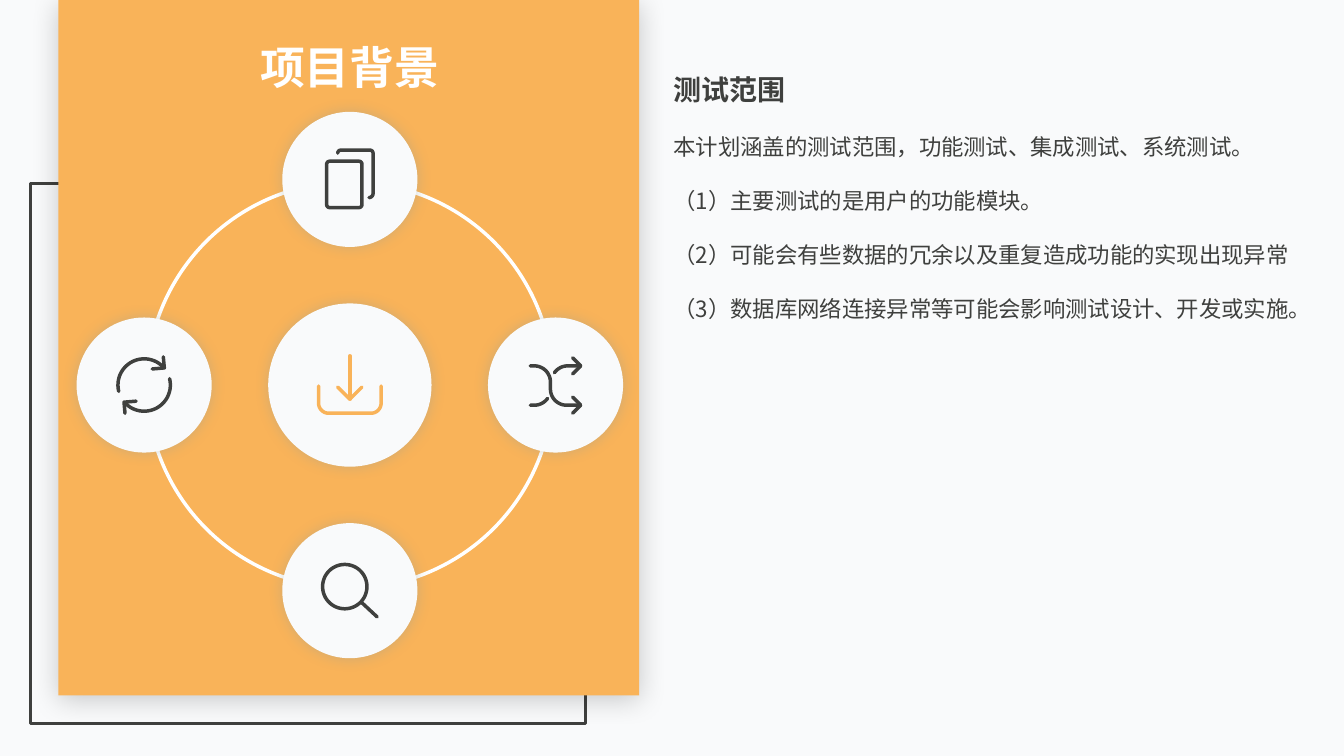
from math import cos, radians, sin

from lxml.etree import SubElement
from pptx import Presentation
from pptx.dml.color import RGBColor
from pptx.enum.shapes import MSO_CONNECTOR, MSO_SHAPE
from pptx.enum.text import MSO_ANCHOR, MSO_AUTO_SIZE, PP_ALIGN
from pptx.oxml.ns import qn
from pptx.util import Inches, Pt

TITLE = "项目背景"
HEADING = "测试范围"
BODY = [
    "本计划涵盖的测试范围，功能测试、集成测试、系统测试。",
    "（1）主要测试的是用户的功能模块。",
    "（2）可能会有些数据的冗余以及重复造成功能的实现出现异常",
    "（3）数据库网络连接异常等可能会影响测试设计、开发或实施。",
]
FONT = "Noto Sans CJK SC"
COLORS = {
    "paper": "F9FAFB", "orange": "F9B359", "ink": "3F403E",
    "white": "FFFFFF", "black": "000000", "glow": "969F98",
}
CENTER_X, CENTER_Y = 3.47, 3.82
ORBIT = 2.04
RING_SIZE, HUB_SIZE, SATELLITE_SIZE = 4.03, 1.62, 1.34
GLOW = {"color": "glow", "alpha": 40, "blur": 10, "distance": 0, "angle": 0}
PANEL_SHADOW = {"color": "black", "alpha": 20, "blur": 20, "distance": 3, "angle": 90}


def arc(x, y, radius, start, end):
    """Points on an arc in inches; angles in degrees, clockwise from the right."""
    steps = max(6, abs(end - start) // 6)
    angles = [radians(start + (end - start) * i / steps) for i in range(steps + 1)]
    return [(x + radius * cos(a), y + radius * sin(a)) for a in angles]


def rounded_page(left, top, right, bottom, radius):
    corners = [(right, top, -1, 1, 270), (right, bottom, -1, -1, 0),
               (left, bottom, 1, -1, 90), (left, top, 1, 1, 180)]
    points = []
    for x, y, inward_x, inward_y, start in corners:
        points += arc(x + inward_x * radius, y + inward_y * radius, radius, start, start + 90)
    return points + points[:1]


def arrow_tip(y):
    return [(0.17, y - 0.08), (0.25, y), (0.17, y + 0.08)]


# Each icon is a list of strokes, in inches from the centre of its disc.
DOWNLOAD = [
    [(-0.31, 0.01), *arc(-0.21, 0.18, 0.1, 180, 90), *arc(0.21, 0.18, 0.1, 90, 0), (0.31, 0.01)],
    [(0, -0.29), (0, 0.14)],
    [(-0.12, 0.02), (0, 0.14), (0.12, 0.02)],
]
DOCUMENTS = [
    rounded_page(-0.23, -0.18, 0.12, 0.28, 0.03),
    [*arc(-0.09, -0.26, 0.03, 180, 270), *arc(0.2, -0.26, 0.03, 270, 360),
     *arc(0.19, 0.14, 0.04, 0, 90)],
]
SHUFFLE = [
    [(-0.25, -0.19), *arc(-0.21, -0.03, 0.16, 270, 360), *arc(0.11, 0.04, 0.16, 180, 90), (0.25, 0.2)],
    [*arc(0.12, -0.03, 0.16, 215, 270), (0.25, -0.19)],
    [(-0.25, 0.2), *arc(-0.21, 0.04, 0.16, 90, 35)],
    arrow_tip(-0.19),
    arrow_tip(0.2),
]
MAGNIFIER = [arc(-0.05, -0.04, 0.22, 0, 360), [(0.12, 0.12), (0.27, 0.26)]]
REFRESH = [
    arc(0, 0, 0.26, 166, 316),
    [(0.19, -0.28), (0.2, -0.17), (0.08, -0.16)],
    arc(0, 0, 0.26, -14, 136),
    [(-0.19, 0.28), (-0.2, 0.17), (-0.08, 0.16)],
]
SATELLITES = [DOCUMENTS, SHUFFLE, MAGNIFIER, REFRESH]  # clockwise from the top


def rgb(name):
    return RGBColor.from_string(COLORS[name])


def add_shadow(shape, color, alpha, blur, distance, angle):
    effects = shape._element.spPr.find(qn("a:effectLst"))
    shadow = SubElement(effects, qn("a:outerShdw"), blurRad=str(Pt(blur)), dist=str(Pt(distance)),
                        dir=str(angle * 60000), algn="ctr", rotWithShape="0")
    tint = SubElement(shadow, qn("a:srgbClr"), val=COLORS[color])
    SubElement(tint, qn("a:alpha"), val=str(alpha * 1000))


def add_figure(slide, kind, left, top, width, height, fill=None, line=None, weight=1, shadow=None):
    shape = slide.shapes.add_shape(kind, Inches(left), Inches(top), Inches(width), Inches(height))
    shape.shadow.inherit = False
    if fill:
        shape.fill.solid()
        shape.fill.fore_color.rgb = rgb(fill)
    else:
        shape.fill.background()
    if line:
        shape.line.color.rgb = rgb(line)
        shape.line.width = Pt(weight)
    else:
        shape.line.fill.background()
    if shadow:
        add_shadow(shape, **shadow)


def add_disc(slide, x, y, size, **style):
    add_figure(slide, MSO_SHAPE.OVAL, x - size / 2, y - size / 2, size, size, **style)


def add_stroke(slide, points, color):
    places = [(Inches(x), Inches(y)) for x, y in points]
    if len(places) == 2:
        stroke = slide.shapes.add_connector(MSO_CONNECTOR.STRAIGHT, *places[0], *places[1])
    else:
        builder = slide.shapes.build_freeform(*places[0])
        builder.add_line_segments(places[1:], close=places[0] == places[-1])
        stroke = builder.convert_to_shape()
        stroke.fill.background()
        stroke.shadow.inherit = False
    stroke.line.color.rgb = rgb(color)
    stroke.line.width = Pt(2.5)
    outline = stroke._element.spPr.find(qn("a:ln"))
    outline.set("cap", "rnd")
    SubElement(outline, qn("a:round"))
    if len(places) == 2:
        SubElement(stroke._element.spPr, qn("a:effectLst"))


def add_icon_disc(slide, x, y, size, icon, color):
    add_disc(slide, x, y, size, fill="paper", shadow=GLOW)
    for stroke in icon:
        add_stroke(slide, [(x + dx, y + dy) for dx, dy in stroke], color)


def place(shape, left, top, width, height, wrap=True):
    shape.left, shape.top = Inches(left), Inches(top)
    shape.width, shape.height = Inches(width), Inches(height)
    frame = shape.text_frame
    frame.margin_left = frame.margin_right = frame.margin_top = frame.margin_bottom = Inches(0.05)
    frame.word_wrap = wrap
    frame.auto_size = MSO_AUTO_SIZE.NONE
    frame.vertical_anchor = MSO_ANCHOR.TOP
    return frame


def write(paragraph, text, size, color, bold=False, align=PP_ALIGN.LEFT, spacing=1):
    properties = paragraph._p.get_or_add_pPr()
    properties.set("marL", "0")
    properties.set("indent", "0")
    SubElement(properties, qn("a:buNone"))
    paragraph.alignment = align
    paragraph.line_spacing = float(spacing)
    paragraph.space_before = Pt(0)
    run = paragraph.add_run()
    run.text = text
    run.font.name = FONT
    run.font.size = Pt(size)
    run.font.bold = bold
    run.font.color.rgb = rgb(color)
    SubElement(run._r.rPr, qn("a:ea"), typeface=FONT)


def main():
    presentation = Presentation()
    presentation.slide_width, presentation.slide_height = Inches(13.33), Inches(7.5)
    slide = presentation.slides.add_slide(presentation.slide_layouts[1])
    slide.background.fill.solid()
    slide.background.fill.fore_color.rgb = rgb("paper")

    add_figure(slide, MSO_SHAPE.RECTANGLE, 0.3, 1.82, 5.51, 5.36, line="ink", weight=2)
    add_figure(slide, MSO_SHAPE.RECTANGLE, 0.58, 0, 5.76, 6.9, fill="orange", shadow=PANEL_SHADOW)
    add_icon_disc(slide, CENTER_X, CENTER_Y, HUB_SIZE, DOWNLOAD, "orange")
    add_disc(slide, CENTER_X, CENTER_Y, RING_SIZE, line="white", weight=2.5)
    for index, icon in enumerate(SATELLITES):
        angle = radians(index * 90 - 90)
        add_icon_disc(slide, CENTER_X + ORBIT * cos(angle), CENTER_Y + ORBIT * sin(angle),
                      SATELLITE_SIZE, icon, "ink")

    title, body = slide.placeholders
    frame = place(body, 6.63, 0.34, 6.48, 3.5)
    write(frame.paragraphs[0], HEADING, size=20, color="ink", bold=True, spacing=2)
    for text in BODY:
        write(frame.add_paragraph(), text, size=16, color="ink", spacing=2)
    frame = place(title, 2.52, 0.34, 1.9, 0.64, wrap=False)
    write(frame.paragraphs[0], TITLE, size=32, color="white", bold=True, align=PP_ALIGN.CENTER)
    for shape in (body, title):
        slide.shapes._spTree.append(shape._element)

    presentation.save("out.pptx")


if __name__ == "__main__":
    main()
